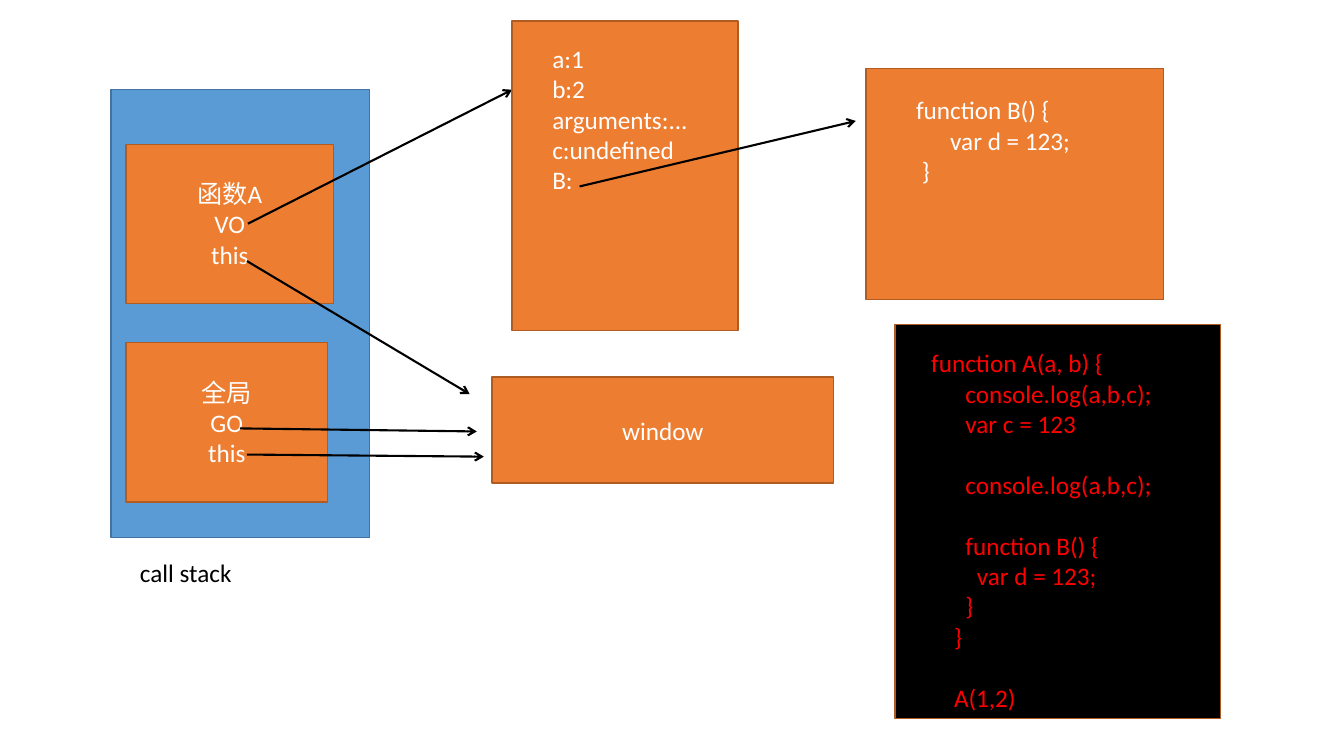
"""Build the call stack slide: execution contexts, their variables and the code."""
from dataclasses import dataclass

from lxml.etree import SubElement
from pptx import Presentation
from pptx.dml.color import RGBColor as Rgb
from pptx.enum.shapes import MSO_CONNECTOR as Connector, MSO_SHAPE as Preset
from pptx.enum.text import MSO_ANCHOR as Anchor, PP_ALIGN as Align
from pptx.oxml.ns import qn
from pptx.util import Pt


@dataclass(frozen=True)
class Theme:
    font: str = "Calibri"
    size: float = 18
    line_height: float = 22
    space_width: float = 4.07
    stack: str = "5B9BD5"
    stack_edge: str = "43739E"
    context: str = "ED7D31"
    context_edge: str = "AF5C24"
    light: str = "FFFFFF"
    dark: str = "000000"
    code: str = "FF0000"
    edge_width: float = 1
    arrow_width: float = 1.5


THEME = Theme()

STACK = (79.2, 64.1, 185, 319.7)
CONTEXTS = [
    ((90, 244.8, 144, 113.8), ["全局", "GO", "this"]),
    ((90, 103, 148.3, 113.8), ["函数A", "VO", "this"]),
    ((351.4, 269.3, 244.1, 75.6), ["window"]),
]
CONTEXT_ARROWS = [
    ((176.4, 324.7), (345.6, 326.2)),
    ((176.4, 186.5), (335.5, 281.5)),
    ((171.4, 306), (340.6, 308.2)),
    ((177.1, 159.8), (365.8, 64.1)),
]
VARIABLES_BOX = (365.8, 15.1, 161.3, 221)
VARIABLES_AT = (387.4, 27.4, 131, 115.9)
VARIABLES = ["a:1", "b:2", "arguments:...", "c:undefined", "B:"]
FUNCTION_ARROW = ((414, 133.2), (611.3, 86.4))

FUNCTION_BOX = (618.5, 49, 212.4, 164.9)
FUNCTION_AT = (647.3, 64.1, 139.7, 72.7)
FUNCTION_B = ["function B() {", ("var d = 123;", 6), ("}", 1)]

CAPTION_AT = (92.9, 394.6, 162.7, 28.8)
CAPTION = ["call stack"]

CODE_BOX = (639.4, 231.8, 232.6, 281.5)
CODE_AT = (658.1, 244.8, 200.9, 268.6)
CODE = [
    "function A(a, b) {",
    ("console.log(a,b,c);", 6),
    ("var c = 123", 6),
    ("console.log(a,b,c);", 6, 1),
    ("function B() {", 6, 1),
    ("var d = 123;", 8),
    ("}", 6),
    ("}", 4),
    ("A(1,2)", 4, 1),
]


def write(frame, lines, color=THEME.light, align=Align.LEFT, anchor=Anchor.TOP):
    """Write lines, each a string or (text, indent in characters, lines skipped)."""
    frame.word_wrap = True
    frame.vertical_anchor = anchor
    for index, line in enumerate(lines):
        text, indent, skipped = ((line,) if isinstance(line, str) else line) + (0, 0)[
            : 2 if isinstance(line, str) else 3 - len(line)] + (() )
        paragraph = frame.add_paragraph() if index else frame.paragraphs[0]
        paragraph.alignment = align
        paragraph.space_before = Pt(skipped * THEME.line_height)
        if indent:
            paragraph._p.get_or_add_pPr().set("marL", str(Pt(indent * THEME.space_width)))
        run = paragraph.add_run()
        run.text = text
        run.font.name = THEME.font
        run.font.size = Pt(THEME.size)
        run.font.color.rgb = Rgb.from_string(color)


def add_box(place, fill=THEME.context, edge=THEME.context_edge):
    """Add a bordered rectangle."""
    box = shapes.add_shape(Preset.RECTANGLE, *map(Pt, place))
    box.shadow.inherit = False
    box.fill.solid()
    box.fill.fore_color.rgb = Rgb.from_string(fill)
    box.line.color.rgb = Rgb.from_string(edge)
    box.line.width = Pt(THEME.edge_width)
    return box


def add_text(place, lines, **style):
    """Add a text box."""
    write(shapes.add_textbox(*map(Pt, place)).text_frame, lines, **style)


def add_arrow(start, end):
    """Add a straight line with an open arrowhead at its end."""
    arrow = shapes.add_connector(Connector.STRAIGHT, *map(Pt, start + end))
    arrow.line.color.rgb = Rgb.from_string(THEME.dark)
    arrow.line.width = Pt(THEME.arrow_width)
    SubElement(arrow.line._get_or_add_ln(), qn("a:tailEnd"), type="arrow")
    SubElement(arrow._element.spPr, qn("a:effectLst"))


deck = Presentation()
deck.slide_width, deck.slide_height = Pt(960), Pt(540)
shapes = deck.slides.add_slide(deck.slide_layouts[6]).shapes

add_box(STACK, fill=THEME.stack, edge=THEME.stack_edge)
for place, names in CONTEXTS:
    write(add_box(place).text_frame, names, align=Align.CENTER, anchor=Anchor.MIDDLE)
for start, end in CONTEXT_ARROWS:
    add_arrow(start, end)

add_box(VARIABLES_BOX)
add_text(VARIABLES_AT, VARIABLES)
add_arrow(*FUNCTION_ARROW)
add_box(FUNCTION_BOX)
add_text(FUNCTION_AT, FUNCTION_B)

add_text(CAPTION_AT, CAPTION, color=THEME.dark)
add_box(CODE_BOX, fill=THEME.dark)
add_text(CODE_AT, CODE, color=THEME.code)

deck.save("out.pptx")
